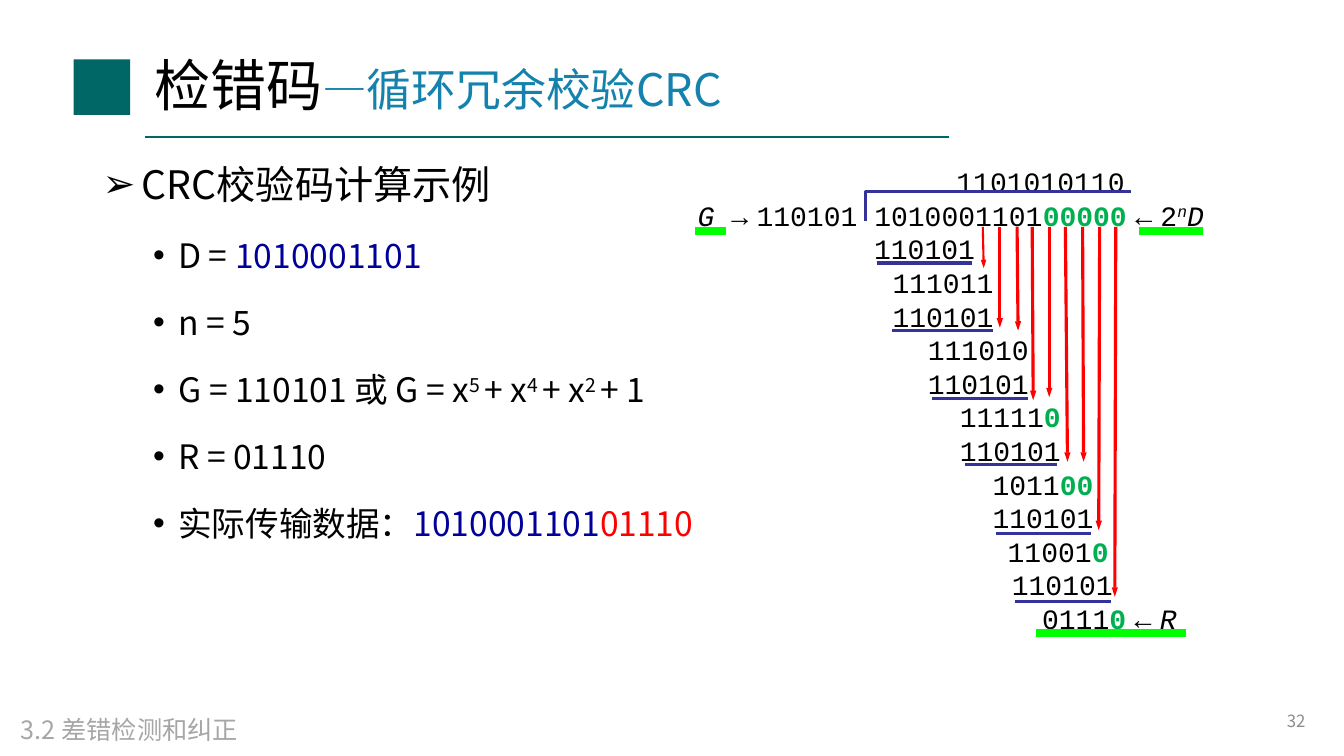
from lxml import etree
from pptx import Presentation
from pptx.dml.color import RGBColor
from pptx.enum.shapes import MSO_CONNECTOR, MSO_SHAPE
from pptx.enum.text import MSO_ANCHOR, MSO_AUTO_SIZE, PP_ALIGN
from pptx.oxml.ns import qn
from pptx.util import Pt

STRAIGHT = MSO_CONNECTOR.STRAIGHT
RECT = MSO_SHAPE.RECTANGLE
MIDDLE, TOP = MSO_ANCHOR.MIDDLE, MSO_ANCHOR.TOP
FIXED = MSO_AUTO_SIZE.NONE
LEFT, RIGHT = PP_ALIGN.LEFT, PP_ALIGN.RIGHT
SANS, MONO = "Noto Sans CJK SC", "Courier New"
HEX = {"black": "000000", "teal": "006666", "blue": "1482AC",
       "navy": "000099", "red": "FF0000", "green": "00B050",
       "lime": "00FF00", "rule": "333399", "foot": "A6A6A6",
       "page": "8C8C8C"}
INK = {name: RGBColor.from_string(code) for name, code in HEX.items()}


def write(para, runs, size, face=SANS, ink="black"):
    font = para.font
    font.size, font.name, font.color.rgb = Pt(size), face, INK[ink]
    if face == SANS:
        etree.SubElement(font._element, qn("a:ea"), typeface=face)
    for text, *marks in runs:
        run = para.add_run()
        run.text = text
        for mark in marks:
            if mark == "bold":
                run.font.bold = True
            elif mark == "ital":
                run.font.italic = True
            elif mark == "sup":
                run.font._element.set("baseline", "30000")
            elif mark in INK:
                run.font.color.rgb = INK[mark]
            else:
                run.font.size = Pt(mark)


def rule(x1, y1, x2, y2, ink, width, head=False):
    line = slide.shapes.add_connector(STRAIGHT, Pt(x1), Pt(y1), Pt(x2), Pt(y2))
    line.line.color.rgb = INK[ink]
    line.line.width = Pt(width)
    if head:
        etree.SubElement(line.line._get_or_add_ln(), qn("a:tailEnd"),
                         type="triangle", w="sm", len="med")
    etree.SubElement(line._element.spPr, qn("a:effectLst"))


deck = Presentation()
deck.slide_width, deck.slide_height = Pt(960), Pt(540)
slide = deck.slides.add_slide(deck.slide_layouts[1])

badge = slide.shapes.add_shape(RECT, Pt(52.6), Pt(42.5), Pt(40.3), Pt(39.6))
badge.shadow.inherit = False
badge.fill.solid()
badge.fill.fore_color.rgb = INK["teal"]
badge.line.fill.background()
rule(103.7, 98, 678.2, 98, "teal", 1.5)

title, body = slide.placeholders
num = slide.shapes.add_textbox(0, 0, 0, 0)
foot = slide.shapes.add_textbox(0, 0, 0, 0)
work = slide.shapes.add_textbox(0, 0, 0, 0)
for box, left, top, width, height, anchor in [
        (title, 103, 28.8, 647.3, 69.1, MIDDLE),
        (body, 66.2, 108.7, 503.3, 343.4, TOP),
        (foot, 7.9, 506.9, 240.5, 28.8, TOP),
        (num, 678.2, 500.4, 261.4, 28.8, MIDDLE),
        (work, 424.1, 114, 530.6, 343.4, TOP)]:
    box.left, box.top = Pt(left), Pt(top)
    box.width, box.height = Pt(width), Pt(height)
    frame = box.text_frame
    frame.word_wrap = True
    frame.auto_size = FIXED
    frame.vertical_anchor = anchor

head = title.text_frame.paragraphs[0]
head.alignment = LEFT
head.line_spacing = 0.9
write(head, [("检错码",), ("—循环冗余校验CRC", 32, "blue")], 40)

points = [
    [("CRC校验码计算示例",)],
    [("D = ",), ("1010001101", "navy")],
    [("n = 5",)],
    [("G = 110101 或 G = x",), ("5 ", "sup"), ("+ x",), ("4 ", "sup"),
     ("+ x",), ("2 ", "sup"), ("+ 1",)],
    [("R = 01110",)],
    [("实际传输数据：",), ("1010001101", "navy"), ("01110", "red")],
]
for i, runs in enumerate(points):
    frame = body.text_frame
    para = frame.add_paragraph() if i else frame.paragraphs[0]
    para.level = 1 if i else 0
    para.line_spacing = Pt(36)
    para.space_before = Pt(12 if i else 0)
    prop = para._p.get_or_add_pPr()
    prop.set("marL", str(Pt(54 if i else 28)))
    prop.set("indent", str(Pt(-18 if i else -28)))
    etree.SubElement(prop, qn("a:buFont"), typeface="Arial")
    etree.SubElement(prop, qn("a:buChar"), char="•" if i else "➢")
    write(para, runs, 24 if i else 28)

write(foot.text_frame.paragraphs[0], [("3.2 差错检测和纠正",)], 18, ink="foot")
page = num.text_frame.paragraphs[0]
page.alignment = RIGHT
write(page, [("32",)], 12, ink="page")

zero = ("0", "green", "bold")
gap = (" ", 10)
code = ("110101",)
steps = [
    (252, [("1101010110",)]),
    (67.2, [("G ", "ital"), ("→",), gap, ("110101 1010001101",),
            ("00000", "green", "bold"), gap, ("←",), gap, ("2",),
            ("n", "ital", "sup"), ("D", "ital")]),
    (193.2, [code]),
    (206.4, [("111011",)]),
    (206.4, [code]),
    (231.6, [("111010",)]),
    (231.6, [code]),
    (254.4, [("11111",), zero]),
    (254.4, [code]),
    (277.8, [("1011",), ("00", "green", "bold")]),
    (277.8, [code]),
    (288.6, [("11001",), zero]),
    (291.6, [code]),
    (313.2, [("0111",), zero, gap, ("←",), gap, ("R", "ital")]),
]
for i, (inset, runs) in enumerate(steps):
    frame = work.text_frame
    para = frame.add_paragraph() if i else frame.paragraphs[0]
    para.line_spacing = Pt(24)
    para._p.get_or_add_pPr().set("marL", str(Pt(inset)))
    write(para, runs, 20, MONO)

pen = slide.shapes.build_freeform(Pt(618.5), Pt(157.7))
pen.add_line_segments([(Pt(618.5), Pt(136.8)), (Pt(807.8), Pt(136.8))], close=False)
roof = pen.convert_to_shape()
roof.shadow.inherit = False
roof.fill.background()
roof.line.color.rgb = INK["rule"]
roof.line.width = Pt(2.25)

drops = [(702, 708.5, 191.5), (714.2, 714.2, 234), (726.5, 727.2, 236.2),
         (737.3, 738, 285.8), (749.5, 749.5, 283.7), (761, 762.5, 329.8),
         (773.3, 774, 329.8), (785.5, 784.8, 378.7), (797, 796.3, 426.2)]
for i, (x1, x2, end) in enumerate(drops):
    if i == 0:
        x2 = x1 + 0.7
    rule(x1, 162, x2, end, "red", 2.25 if i else 1.5, True)

for x1, x2, y in [(626.4, 694.1, 187.9), (637.2, 709.2, 236.2),
                  (666, 734.4, 284.4), (689, 755.3, 331.9),
                  (711.4, 779, 380.9), (725, 793.4, 429.5)]:
    rule(x1, y, x2, y, "rule", 2.25)

for x1, x2, y in [(740.2, 847.4, 452.2), (813.6, 859, 164.9),
                  (496.1, 518.4, 164.9)]:
    rule(x1, y, x2, y, "lime", 6)

deck.save("out.pptx")
